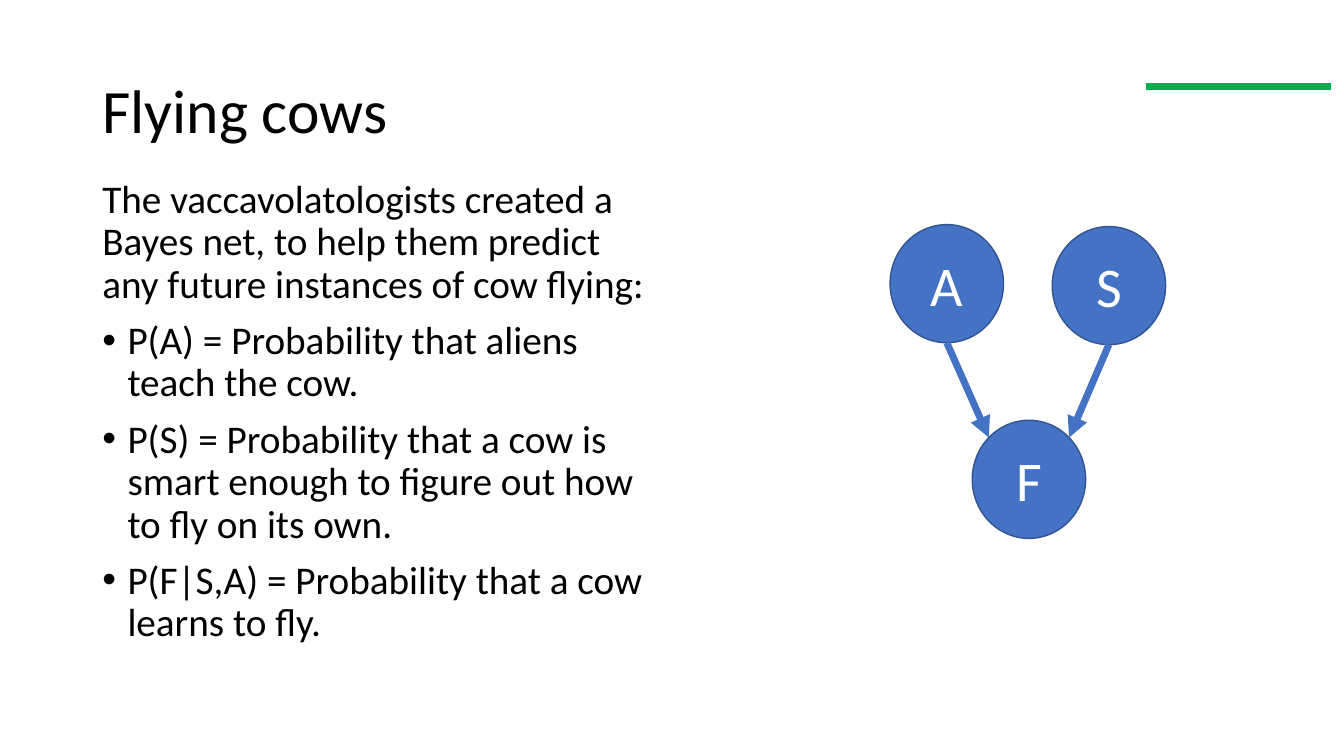
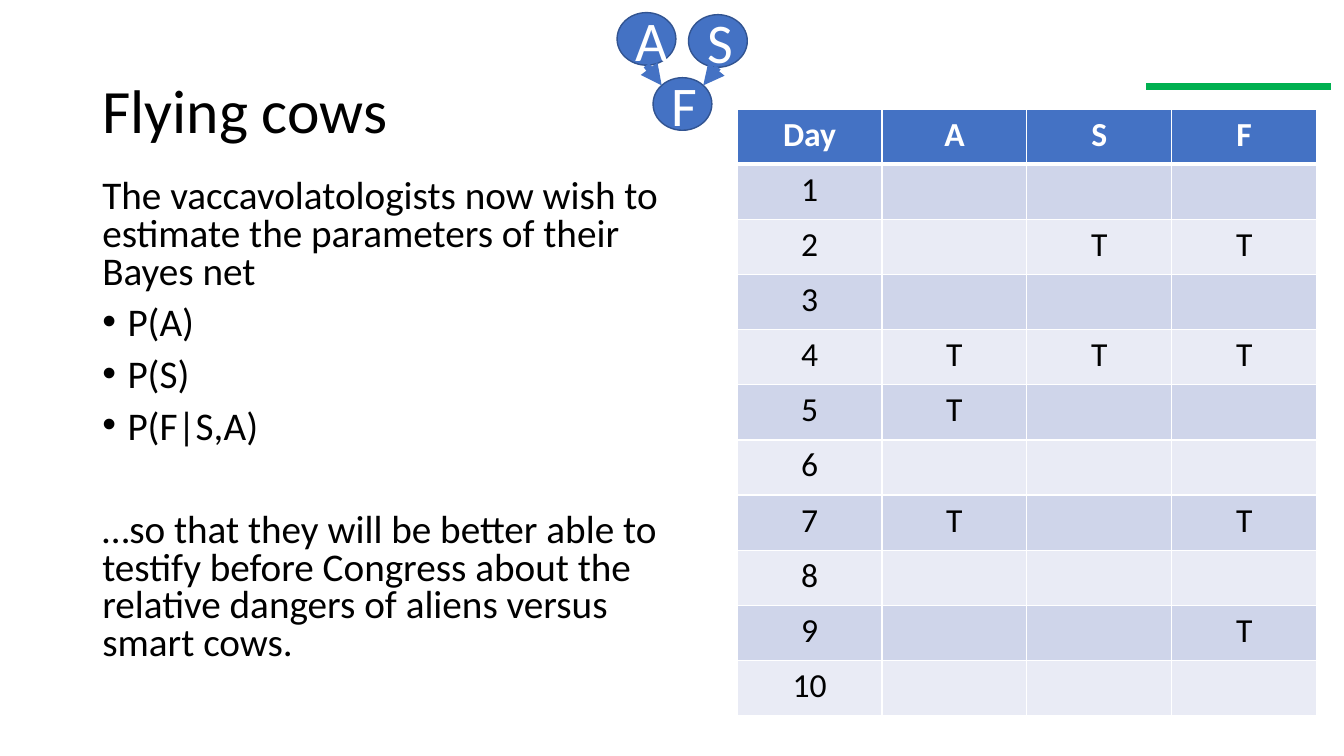
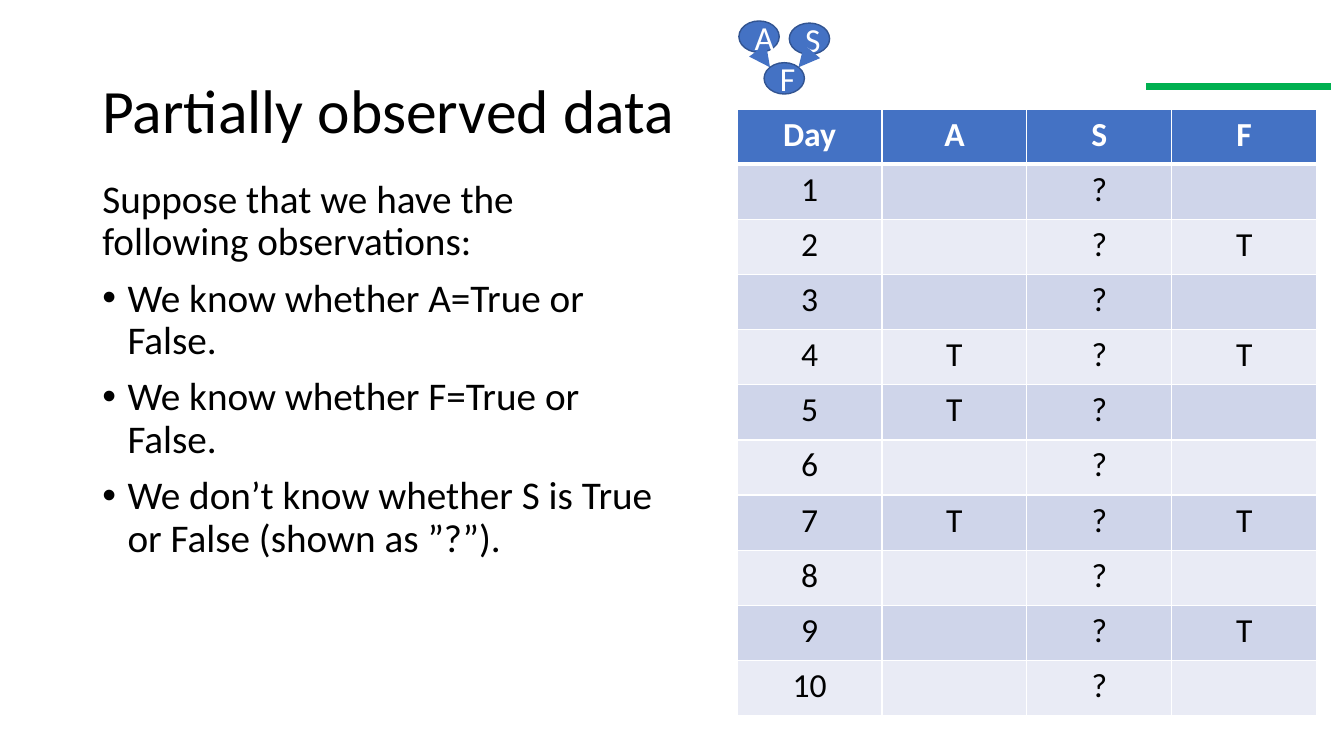
"""Build three slides on a Bayes net that predicts flying cows."""
from dataclasses import dataclass
from math import sqrt
from typing import Any

from lxml.etree import SubElement
from pptx import Presentation
from pptx.dml.color import RGBColor as RGB
from pptx.enum.shapes import MSO_CONNECTOR as CXN, MSO_SHAPE as SHAPE
from pptx.enum.text import MSO_ANCHOR as ANCHOR, MSO_AUTO_SIZE as AUTO, PP_ALIGN as ALIGN
from pptx.oxml.ns import qn
from pptx.util import Pt


@dataclass(frozen=True)
class Theme:
    font: str = "Calibri"
    black: str = "000000"
    white: str = "FFFFFF"
    blue: str = "4472C4"
    outline: str = "325491"
    green: str = "00B050"
    bands: tuple[str, str] = ("CFD5EA", "E9EBF5")
    title: float = 44
    body: float = 28
    cell: float = 24
    heavy: float = 5
    rule: float = 3
    thin: float = 1


@dataclass(frozen=True)
class Para:
    text: str
    bullet: bool = False
    before: float = 10


@dataclass(frozen=True)
class Net:
    width: float
    height: float
    size: float
    a: tuple[float, float]
    s: tuple[float, float]
    f: tuple[float, float]


@dataclass(frozen=True)
class Page:
    title: str
    paras: list[Para]
    net: Net
    days: dict[str, str] | None = None
    spacing: float = 0.9


T = Theme()
COLUMN_WIDTH = 103.5
ROW_HEIGHT = 39.4
DAY_COUNT = 10

PAGES = [
    Page(
        "Flying cows",
        [
            Para("The vaccavolatologists created a Bayes net, to help them predict "
                 "any future instances of cow flying:"),
            Para("P(A) = Probability that aliens teach the cow.", True),
            Para("P(S) = Probability that a cow is smart enough to figure out how "
                 "to fly on its own.", True),
            Para("P(F|S,A) = Probability that a cow learns to fly.", True),
        ],
        Net(81, 84.4, 40, (635.8, 160.4), (751.6, 161.8), (694.5, 300.2)),
    ),
    Page(
        "Flying cows",
        [
            Para("The vaccavolatologists now wish to estimate the parameters of "
                 "their Bayes net"),
            Para("P(A)", True),
            Para("P(S)", True),
            Para("P(F|S,A)", True),
            Para("…so that they will be better able to testify before Congress about "
                 "the relative dangers of aliens versus smart cows.", before=47),
        ],
        Net(42, 37.6, 40, (440.8, 9), (491.8, 10.5), (466.5, 55.5)),
        {"A": "---TT-T---", "S": "-T-T------", "F": "-T-T--T-T-"},
        0.8,
    ),
    Page(
        "Partially observed data",
        [
            Para("Suppose that we have the following observations:"),
            Para("We know whether A=True or False.", True),
            Para("We know whether F=True or False.", True),
            Para("We don’t know whether S is True or False (shown as ”?”).", True),
        ],
        Net(28.8, 22.4, 24, (527.8, 15), (563.8, 16.5), (545.8, 44.8)),
        {"A": "---TT-T---", "S": "?" * DAY_COUNT, "F": "-T-T--T-T-"},
    ),
]


def assign(target: Any, values: dict[str, Any]) -> None:
    """Set every named attribute on the target."""
    for name, value in values.items():
        setattr(target, name, value)


def write(p: Any, text: str, size: float, color: str, bold: bool = False) -> None:
    """Add one formatted run to a paragraph."""
    r = p.add_run()
    r.text = text
    assign(r.font, {"name": T.font, "size": Pt(size), "bold": bold})
    r.font.color.rgb = RGB.from_string(color)


def place(sp: Any, left: float, top: float, width: float, height: float) -> None:
    """Position a shape in points."""
    assign(sp, {"left": Pt(left), "top": Pt(top), "width": Pt(width), "height": Pt(height)})


def add_title(s: Any, text: str) -> None:
    """Place and fill the title placeholder."""
    sp = s.shapes.title
    place(sp, 66, 28.8, 828, 104.4)
    tf = sp.text_frame
    assign(tf, {"word_wrap": True, "auto_size": AUTO.NONE, "vertical_anchor": ANCHOR.MIDDLE})
    p = tf.paragraphs[0]
    assign(p, {"alignment": ALIGN.LEFT, "line_spacing": 0.9})
    write(p, text, T.title, T.black)


def add_body(s: Any, paras: list[Para], spacing: float) -> None:
    """Add the left-hand text with its bullets."""
    tf = s.shapes.add_textbox(Pt(66), Pt(124.8), Pt(414), Pt(387)).text_frame
    tf.word_wrap = True
    for i, para in enumerate(paras):
        p = tf.add_paragraph() if i else tf.paragraphs[0]
        assign(p, {"line_spacing": spacing, "space_before": Pt(para.before)})
        if para.bullet:
            pPr = p._p.get_or_add_pPr()
            pPr.set("marL", str(Pt(18)))
            pPr.set("indent", str(Pt(-18)))
            SubElement(pPr, qn("a:buFont"), typeface="Arial")
            SubElement(pPr, qn("a:buChar"), char="•")
        write(p, para.text, T.body, T.black)


def add_line(s: Any, start: tuple[float, float], end: tuple[float, float],
             color: str, arrow: bool = False) -> None:
    """Draw a heavy straight line, with an arrowhead if wanted."""
    cxn = s.shapes.add_connector(CXN.STRAIGHT, *map(Pt, (*start, *end)))
    cxn.line.color.rgb = RGB.from_string(color)
    cxn.line.width = Pt(T.heavy)
    if arrow:
        SubElement(cxn.line._get_or_add_ln(), qn("a:tailEnd"), type="triangle")
    SubElement(cxn._element.spPr, qn("a:effectLst"))


def add_node(s: Any, net: Net, label: str, corner: tuple[float, float]) -> None:
    """Draw one labelled node of the net."""
    sp = s.shapes.add_shape(SHAPE.OVAL, *map(Pt, (*corner, net.width, net.height)))
    sp.shadow.inherit = False
    sp.fill.solid()
    sp.fill.fore_color.rgb = RGB.from_string(T.blue)
    sp.line.color.rgb = RGB.from_string(T.outline)
    sp.line.width = Pt(T.thin)
    sp.text_frame.vertical_anchor = ANCHOR.MIDDLE
    p = sp.text_frame.paragraphs[0]
    p.alignment = ALIGN.CENTER
    write(p, label, net.size, T.white)


def add_net(s: Any, net: Net) -> None:
    """Draw the nodes, and arrows from both parents to the diagonals of F."""
    for label, corner in (("A", net.a), ("S", net.s), ("F", net.f)):
        add_node(s, net, label, corner)
    rx, ry = net.width / 2, net.height / 2
    for (left, top), side in ((net.a, -1), (net.s, 1)):
        tip = (net.f[0] + rx + side * rx / sqrt(2), net.f[1] + ry - ry / sqrt(2))
        add_line(s, (left + rx, top + net.height), tip, T.blue, arrow=True)


def add_borders(cell: Any, top: float, bottom: float) -> None:
    """Give a cell white borders."""
    tcPr = cell._tc.get_or_add_tcPr()
    widths = {"L": T.thin, "R": T.thin, "T": top, "B": bottom}
    for side, width in widths.items():
        ln = SubElement(tcPr, qn(f"a:ln{side}"), w=str(Pt(width)))
        fill = SubElement(ln, qn("a:solidFill"))
        SubElement(fill, qn("a:srgbClr"), val=T.white)


def add_days(s: Any, days: dict[str, str]) -> None:
    """Add the table of daily observations."""
    rows = [["Day", *days]]
    for i, marks in enumerate(zip(*days.values()), 1):
        rows.append([str(i), *(mark.replace("-", "") for mark in marks)])
    width, height = COLUMN_WIDTH * len(rows[0]), ROW_HEIGHT * len(rows)
    table = s.shapes.add_table(len(rows), len(rows[0]), Pt(526.5), Pt(78),
                               Pt(width), Pt(height)).table
    for column in table.columns:
        column.width = Pt(COLUMN_WIDTH)
    for i, texts in enumerate(rows):
        header = i == 0
        table.rows[i].height = Pt(ROW_HEIGHT)
        for j, text in enumerate(texts):
            cell = table.cell(i, j)
            add_borders(cell, T.rule if i == 1 else T.thin, T.rule if header else T.thin)
            cell.fill.solid()
            color = T.blue if header else T.bands[(i - 1) % 2]
            cell.fill.fore_color.rgb = RGB.from_string(color)
            p = cell.text_frame.paragraphs[0]
            p.alignment = ALIGN.CENTER
            if text:
                write(p, text, T.cell, T.white if header else T.black, header)


def add_page(prs: Any, page: Page) -> None:
    """Build one slide."""
    s = prs.slides.add_slide(prs.slide_layouts[5])
    add_title(s, page.title)
    add_body(s, page.paras, page.spacing)
    add_line(s, (818.6, 61.5), (951, 61.5), T.green)
    if page.days:
        add_days(s, page.days)
    add_net(s, page.net)


def main() -> None:
    """Build and save the deck."""
    prs = Presentation()
    assign(prs, {"slide_width": Pt(960), "slide_height": Pt(540)})
    for page in PAGES:
        add_page(prs, page)
    prs.save("out.pptx")


if __name__ == "__main__":
    main()
